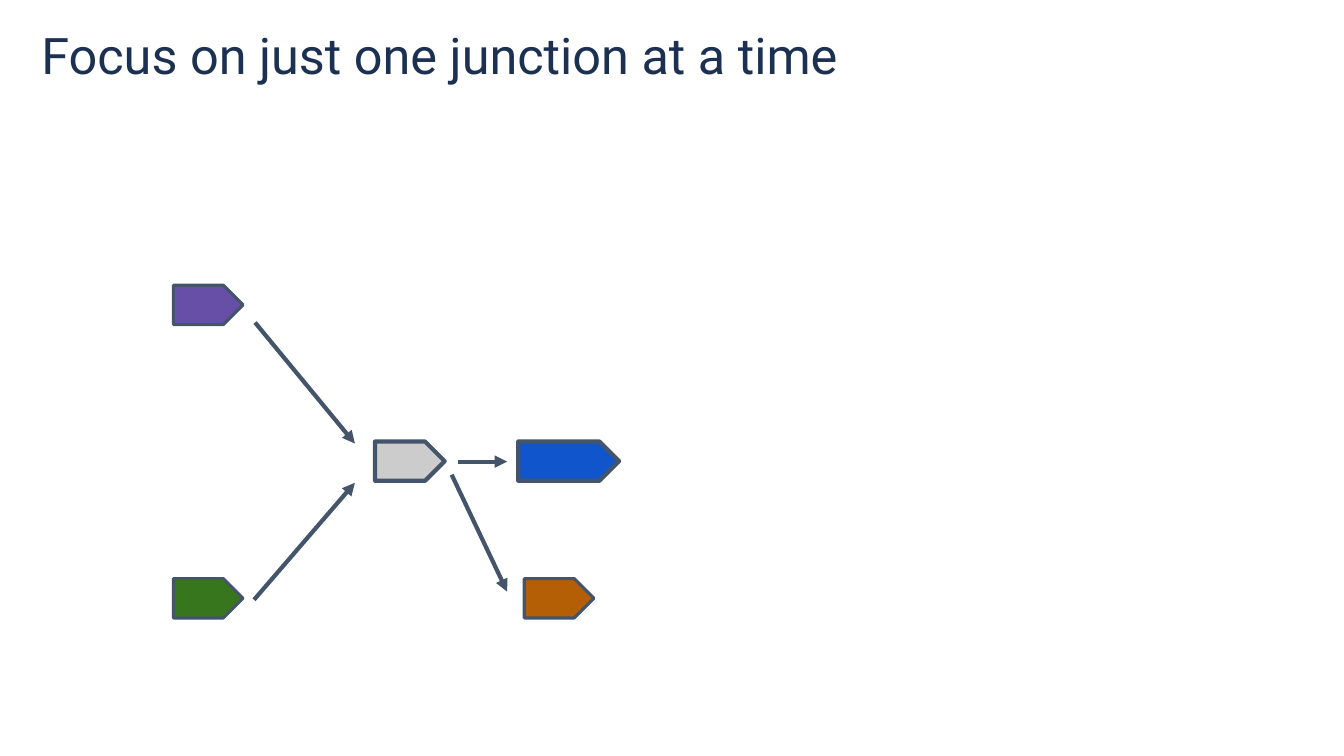
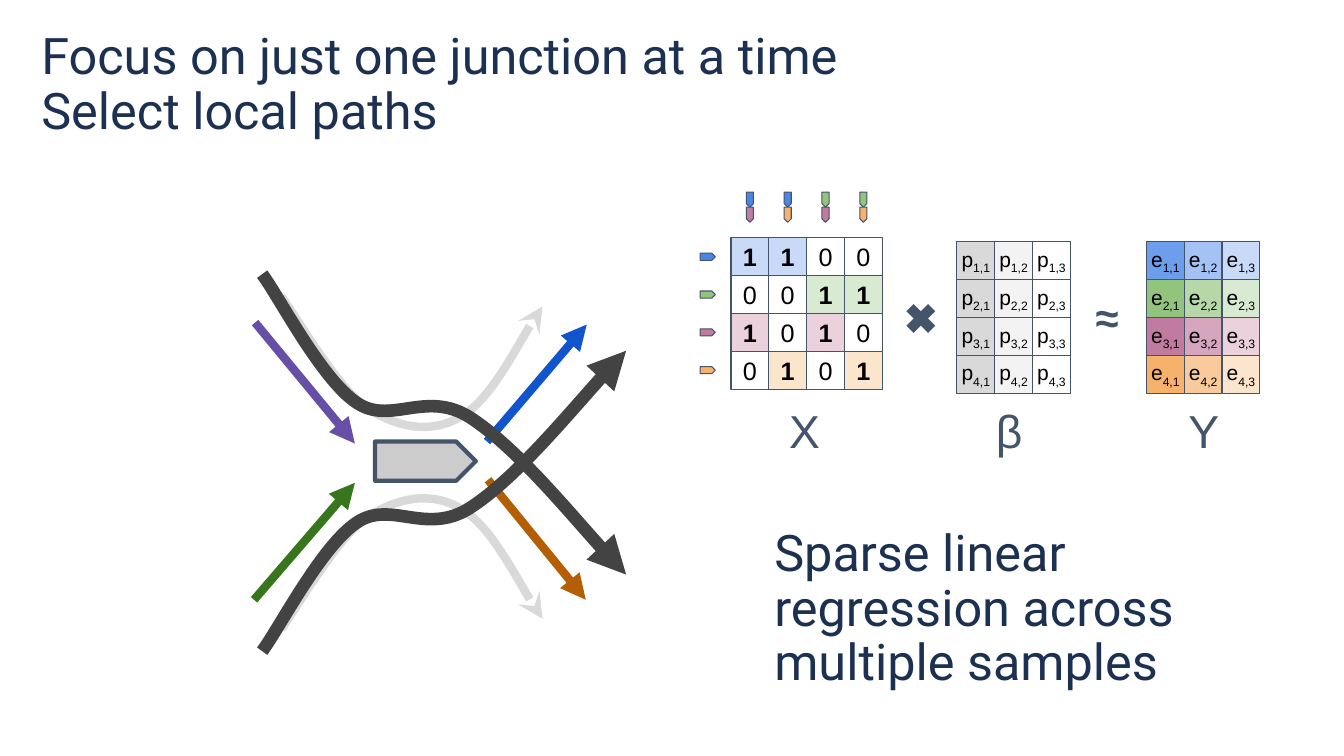
"""Build two slides about choosing local paths at a graph junction."""

import dataclasses
import typing

import lxml.etree
import pptx
import pptx.dml.color
import pptx.enum.shapes
import pptx.enum.text
import pptx.oxml.ns
import pptx.util

Inches = pptx.util.Inches
Point = tuple[float, float]

SLATE = "44546A"
NAVY = "1C3052"
BLACK = "000000"
GRAY = "CCCCCC"
PURPLE = "674EA7"
GREEN = "38761D"
BLUE = "1155CC"
BROWN = "B45F06"

HEADING = "Focus on just one junction at a time"
CELL = 1.5 / 4
MARKER_WIDTH, MARKER_HEIGHT = 0.15, 0.07
BLOCK_HEIGHT = 0.39
MIRROR_AXIS = 4.59


@dataclasses.dataclass(frozen=True)
class Box:
    """Hold a frame in inches."""

    left: float
    top: float
    width: float
    height: float


@dataclasses.dataclass(frozen=True)
class Block:
    """Describe a pentagon that stands for a sequence."""

    box: Box
    fill: str
    line_width: float = 2.25
    rotation: float = 0


@dataclasses.dataclass(frozen=True)
class Arrow:
    """Describe a straight arrow."""

    start: Point
    end: Point
    color: str = SLATE
    width: float = 3


@dataclasses.dataclass(frozen=True)
class Curve:
    """Describe a chain of cubic curves ending in an arrowhead."""

    points: tuple[Point, ...]
    color: str
    width: float
    head: str


@dataclasses.dataclass(frozen=True)
class Branch:
    """Hold the colours of one branch, shades from dark to light."""

    marker: str
    shades: tuple[str, str, str]


@dataclasses.dataclass(frozen=True)
class Label:
    """Describe a centred symbol."""

    text: str
    box: Box
    size: float
    bold: bool = False


BRANCHES = (
    Branch("4A86E8", ("6D9EEB", "A4C2F4", "C9DAF8")),
    Branch("93C47D", ("93C47D", "B6D7A8", "D9EAD3")),
    Branch("C27BA0", ("C27BA0", "D5A6BD", "EAD1DC")),
    Branch("F6B26B", ("F6B26B", "F9CB9C", "FCE5CD")),
)
LOCAL_PATHS = ((0, 2), (0, 3), (1, 2), (1, 3))
BETA_SHADES = ("D9D9D9", "F3F3F3", "FFFFFF")

INCOMING = (((2.53, 3.2), (3.52, 4.4), PURPLE), ((2.52, 5.95), (3.52, 4.79), GREEN))
OUTGOING = (((4.83, 4.38), (5.82, 3.22), BLUE), ((4.84, 4.76), (5.81, 5.95), BROWN))

JUNCTION_BLOCKS = (
    Block(Box(3.72, 4.38, 0.69, BLOCK_HEIGHT), GRAY, 3),
    Block(Box(1.72, 2.83, 0.69, BLOCK_HEIGHT), PURPLE),
    Block(Box(1.72, 5.74, 0.69, BLOCK_HEIGHT), GREEN),
    Block(Box(5.2, 5.74, 0.69, BLOCK_HEIGHT), BROWN),
    Block(Box(5.14, 4.38, 1, BLOCK_HEIGHT), BLUE, 3),
)
JUNCTION_ARROWS = (
    Arrow((4.54, 4.58), (5.03, 4.58)),
    Arrow((4.48, 4.71), (5.03, 5.87)),
    *(Arrow(start, end) for start, end, _ in INCOMING),
)

CURVES = (
    Curve(
        ((2.79, 2.94), (2.93, 3.13), (3.34, 3.84), (3.63, 4.04), (3.93, 4.24),
         (4.26, 4.31), (4.56, 4.14), (4.85, 3.98), (5.24, 3.23), (5.38, 3.04)),
        "D9D9D9", 6, "stealth",
    ),
    Curve(
        ((2.6, 2.72), (2.76, 2.93), (3.18, 3.75), (3.53, 3.99), (3.87, 4.23),
         (4.22, 3.86), (4.66, 4.14), (5.11, 4.43), (5.95, 5.44), (6.21, 5.7)),
        "434343", 9, "triangle",
    ),
)
LABELS = (
    Label("✖", Box(8.97, 3, 0.28, 0.29), 30),
    Label("≈", Box(10.84, 3, 0.28, 0.29), 30, True),
    Label("X", Box(7.61, 3.85, 0.74, 0.83), 33),
    Label("β", Box(9.64, 3.85, 0.74, 0.83), 33),
    Label("Y", Box(11.57, 3.85, 0.74, 0.83), 33),
)


def rgb(value: str) -> pptx.dml.color.RGBColor:
    """Turn a hex string into a colour."""
    return pptx.dml.color.RGBColor.from_string(value)


def frame(box: Box) -> tuple[int, int, int, int]:
    """Convert a box to lengths."""
    return Inches(box.left), Inches(box.top), Inches(box.width), Inches(box.height)


def set_line(shape: typing.Any, color: str, width: float, head: str = "") -> None:
    """Set the line of a shape and its optional arrowhead."""
    shape.line.color.rgb = rgb(color)
    shape.line.width = pptx.util.Pt(width)
    if head:
        line = shape.element.spPr.find(pptx.oxml.ns.qn("a:ln"))
        lxml.etree.SubElement(line, pptx.oxml.ns.qn("a:tailEnd"), type=head)


def set_heading(placeholder: typing.Any, text: str, box: Box) -> None:
    """Place a placeholder and give it the heading style."""
    placeholder.left, placeholder.top, placeholder.width, placeholder.height = frame(box)
    text_frame = placeholder.text_frame
    text_frame.text = text
    text_frame.word_wrap = True
    text_frame.auto_size = pptx.enum.text.MSO_AUTO_SIZE.NONE
    text_frame.vertical_anchor = pptx.enum.text.MSO_ANCHOR.TOP
    for paragraph in text_frame.paragraphs:
        properties = paragraph._p.get_or_add_pPr()
        properties.set("marL", "0")
        properties.set("indent", "0")
        lxml.etree.SubElement(properties, pptx.oxml.ns.qn("a:buNone"))
        paragraph.alignment = pptx.enum.text.PP_ALIGN.LEFT
        paragraph.line_spacing = 0.9
        paragraph.space_before = pptx.util.Pt(0)
        for run in paragraph.runs:
            run.font.name = "Roboto"
            run.font.size = pptx.util.Pt(36)
            run.font.color.rgb = rgb(NAVY)


def set_symbol(shape: typing.Any, text: str, size: float, color: str,
               bold: bool = False, subscript: str = "") -> None:
    """Write a centred symbol with an optional subscript."""
    text_frame = shape.text_frame
    text_frame.text = text
    text_frame.word_wrap = True
    text_frame.vertical_anchor = pptx.enum.text.MSO_ANCHOR.MIDDLE
    text_frame.margin_left = text_frame.margin_right = 0
    text_frame.margin_top = text_frame.margin_bottom = 0
    paragraph = text_frame.paragraphs[0]
    paragraph.alignment = pptx.enum.text.PP_ALIGN.CENTER
    if subscript:
        run = paragraph.add_run()
        run.text = subscript
        run._r.get_or_add_rPr().set("baseline", "-25000")
    for run in paragraph.runs:
        run.font.name = "Arial"
        run.font.size = pptx.util.Pt(size)
        run.font.bold = bold
        run.font.color.rgb = rgb(color)


def add_block(shapes: typing.Any, block: Block) -> None:
    """Draw a pentagon."""
    shape = shapes.add_shape(pptx.enum.shapes.MSO_SHAPE.PENTAGON, *frame(block.box))
    shape.shadow.inherit = False
    shape.rotation = block.rotation
    shape.fill.solid()
    shape.fill.fore_color.rgb = rgb(block.fill)
    set_line(shape, SLATE, block.line_width)


def add_marker(shapes: typing.Any, center: Point, fill: str, rotation: float = 0) -> None:
    """Draw a small pentagon around a centre."""
    box = Box(center[0] - MARKER_WIDTH / 2, center[1] - MARKER_HEIGHT / 2,
              MARKER_WIDTH, MARKER_HEIGHT)
    add_block(shapes, Block(box, fill, 0.75, rotation))


def add_arrow(shapes: typing.Any, arrow: Arrow) -> None:
    """Draw a straight arrow."""
    ends = (Inches(value) for value in (*arrow.start, *arrow.end))
    connector = shapes.add_connector(pptx.enum.shapes.MSO_CONNECTOR.STRAIGHT, *ends)
    set_line(connector, arrow.color, arrow.width, "triangle")
    lxml.etree.SubElement(connector.element.spPr, pptx.oxml.ns.qn("a:effectLst"))


def add_curve(shapes: typing.Any, curve: Curve, mirrored: bool) -> None:
    """Draw a curved arrow, optionally mirrored top to bottom."""
    points = [(Inches(x), Inches(2 * MIRROR_AXIS - y if mirrored else y))
              for x, y in curve.points]
    builder = shapes.build_freeform(*points[0])
    builder.add_line_segments(points[1:], close=False)
    shape = builder.convert_to_shape()
    outline = next(shape.element.iter(pptx.oxml.ns.qn("a:path")))
    segments = outline.findall(pptx.oxml.ns.qn("a:lnTo"))
    for first in range(0, len(segments), 3):
        cubic = lxml.etree.SubElement(outline, pptx.oxml.ns.qn("a:cubicBezTo"))
        for segment in segments[first:first + 3]:
            cubic.append(segment[0])
            outline.remove(segment)
    shape.shadow.inherit = False
    shape.fill.background()
    set_line(shape, curve.color, curve.width, curve.head)


def add_cell(shapes: typing.Any, origin: Point, row: int, column: int,
             fill: str | None) -> typing.Any:
    """Draw one matrix cell."""
    box = Box(origin[0] + column * CELL, origin[1] + row * CELL, CELL, CELL)
    shape = shapes.add_shape(pptx.enum.shapes.MSO_SHAPE.RECTANGLE, *frame(box))
    shape.shadow.inherit = False
    if fill:
        shape.fill.solid()
        shape.fill.fore_color.rgb = rgb(fill)
    else:
        shape.fill.background()
    set_line(shape, SLATE, 0.75)
    return shape


def add_design_matrix(shapes: typing.Any, origin: Point) -> None:
    """Draw the matrix of branches against local paths with its markers."""
    left, top = origin
    for row, branch in enumerate(BRANCHES):
        add_marker(shapes, (left - 0.23, top + (row + 0.5) * CELL), branch.marker)
        for column, local_path in enumerate(LOCAL_PATHS):
            used = row in local_path
            cell = add_cell(shapes, origin, row, column, branch.shades[2] if used else None)
            set_symbol(cell, "1" if used else "0", 18, BLACK, used)
    for column, local_path in enumerate(LOCAL_PATHS):
        group = shapes.add_group_shape()
        for step, index in enumerate(local_path):
            center = (left + (column + 0.5) * CELL, top - 0.38 + step * MARKER_WIDTH)
            add_marker(group.shapes, center, BRANCHES[index].marker, 90)


def add_indexed_matrix(shapes: typing.Any, origin: Point, symbol: str,
                       rows: typing.Sequence[typing.Sequence[str]]) -> None:
    """Draw a matrix of symbols with row and column subscripts."""
    for row, shades in enumerate(rows):
        for column, shade in enumerate(shades):
            cell = add_cell(shapes, origin, row, column, shade)
            set_symbol(cell, symbol, 15, BLACK, subscript=f"{row + 1},{column + 1}")


def build_junction(presentation: typing.Any) -> None:
    """Build the slide with a single junction."""
    slide = presentation.slides.add_slide(presentation.slide_layouts[5])
    set_heading(slide.shapes.title, HEADING, Box(0.31, 0.26, 8.44, 0.83))
    for arrow in JUNCTION_ARROWS:
        add_arrow(slide.shapes, arrow)
    for block in JUNCTION_BLOCKS:
        add_block(slide.shapes, block)


def build_regression(presentation: typing.Any) -> None:
    """Build the slide with local paths and the regression."""
    slide = presentation.slides.add_slide(presentation.slide_layouts[1])
    shapes = slide.shapes
    set_heading(shapes.title, HEADING + "\nSelect local paths", Box(0.31, 0.26, 8.44, 3.38))
    set_heading(slide.placeholders[1], "Sparse linear regression across multiple samples",
                Box(7.58, 5.19, 4.91, 1.78))
    for start, end, color in OUTGOING + INCOMING:
        add_arrow(shapes, Arrow(start, end, color, 6))
    add_block(shapes, Block(Box(3.72, 4.38, 1, BLOCK_HEIGHT), GRAY, 3))
    add_design_matrix(shapes, (7.25, 2.36))
    add_indexed_matrix(shapes, (9.49, 2.4), "p", [BETA_SHADES] * len(BRANCHES))
    add_indexed_matrix(shapes, (11.37, 2.4), "e", [branch.shades for branch in BRANCHES])
    for label in LABELS:
        text_box = shapes.add_textbox(*frame(label.box))
        set_symbol(text_box, label.text, label.size, SLATE, label.bold)
    for curve in CURVES:
        for mirrored in (False, True):
            add_curve(shapes, curve, mirrored)


def main() -> None:
    """Build and save the presentation."""
    presentation = pptx.Presentation()
    presentation.slide_width = Inches(13.33)
    presentation.slide_height = Inches(7.5)
    build_junction(presentation)
    build_regression(presentation)
    presentation.save("out.pptx")


if __name__ == "__main__":
    main()
